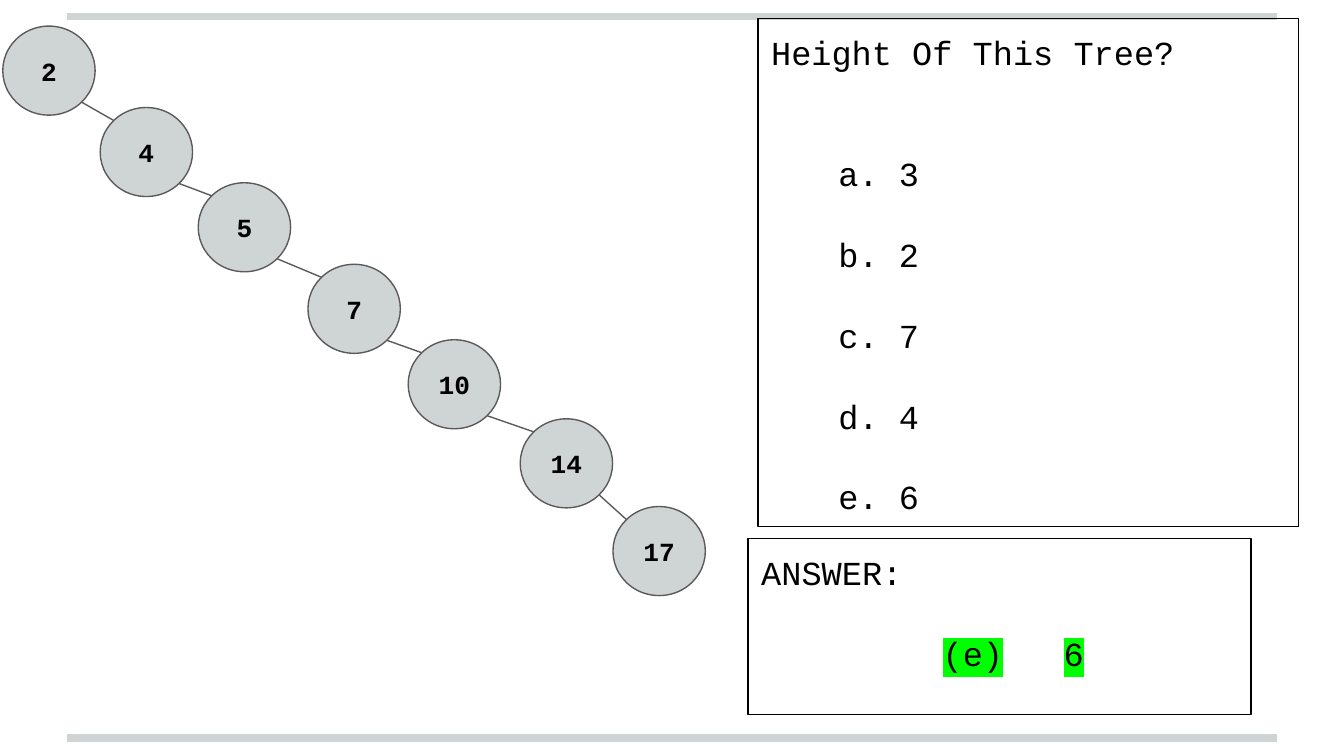
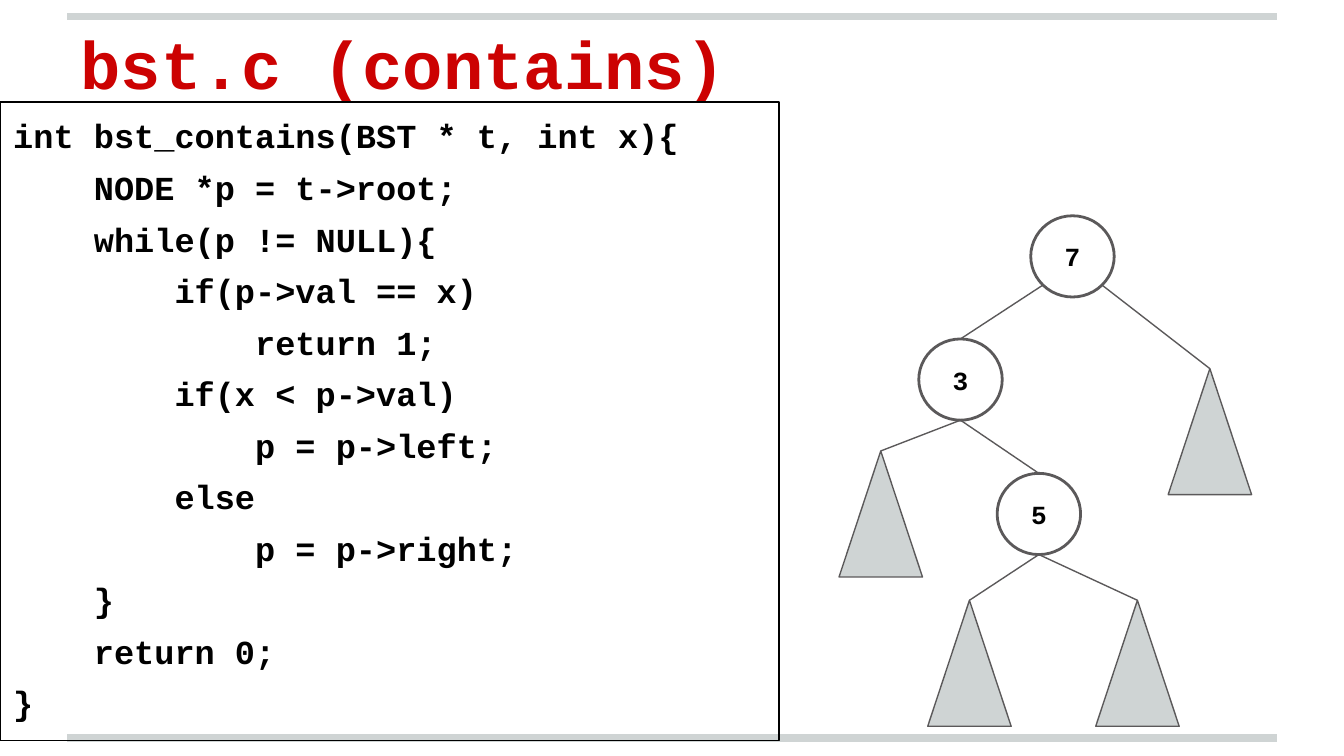
from lxml import etree
from pptx import Presentation
from pptx.dml.color import RGBColor
from pptx.enum.shapes import MSO_CONNECTOR, MSO_SHAPE
from pptx.enum.text import MSO_ANCHOR, PP_ALIGN
from pptx.oxml.ns import qn
from pptx.util import Pt

BLACK = RGBColor(0x00, 0x00, 0x00)
GRAY = RGBColor(0xCF, 0xD4, 0xD4)
EDGE = RGBColor(0x5B, 0x59, 0x5A)
RED = RGBColor(0xCC, 0x02, 0x02)
GREEN = RGBColor(0x00, 0xFF, 0x00)

RECT = MSO_SHAPE.RECTANGLE
OVAL = MSO_SHAPE.OVAL
CONE = MSO_SHAPE.ISOSCELES_TRIANGLE
LINE = MSO_CONNECTOR.STRAIGHT
LEFT, CENTER = PP_ALIGN.LEFT, PP_ALIGN.CENTER
TOP, MIDDLE = MSO_ANCHOR.TOP, MSO_ANCHOR.MIDDLE

FONT = "Courier New"
PLAIN = {"name": FONT, "size": Pt(18), "bold": False}
CODE = {"name": FONT, "size": Pt(18), "bold": True}
LABEL = {"name": FONT, "size": Pt(14), "bold": True}
TITLE = {"name": FONT, "size": Pt(36), "bold": True}
FRAME = {"word_wrap": True, "margin_left": Pt(7.2), "margin_right": Pt(7.2),
         "margin_top": Pt(7.2), "margin_bottom": Pt(7.2)}

NEAR, FAR = 0.5 - 0.5 ** 1.5, 0.5 + 0.5 ** 1.5
CROWN, BASE = (0.5, 0), (0.5, 1)
UPPER, LOWER, RIGHT = (NEAR, NEAR), (NEAR, FAR), (FAR, FAR)
GAP = 21.65
CHAR = 10.8

CHAIN = [("2", 1.5, 14), ("4", 53.7, 57.6), ("5", 106.2, 97.9),
         ("7", 165, 141.6), ("10", 218.7, 182), ("14", 278.7, 224.4),
         ("17", 328.4, 271.4)]
OPTIONS = ["a. 3", "b. 2", "c. 7", "d. 4", "e. 6"]
LINES = """int bst_contains(BST * t, int x){
    NODE *p = t->root;
    while(p != NULL){
        if(p->val == x)
            return 1;
        if(x < p->val)
            p = p->left;
        else
            p = p->right;
    }
    return 0;
}""".splitlines()


def apply(item, values):
    for key, value in values.items():
        setattr(item, key, value)


class Deck:
    def __init__(self):
        self.file = Presentation()
        apply(self.file, {"slide_width": Pt(720), "slide_height": Pt(405)})

    def slide(self):
        layout = self.file.slide_layouts[6]
        self.shapes = self.file.slides.add_slide(layout).shapes
        for y in (8.8, 395.4):
            self.line((Pt(36), Pt(y)), (Pt(684), Pt(y)), GRAY, 4)

    def line(self, start, end, color=EDGE, width=0.75):
        line = self.shapes.add_connector(LINE, *start, *end)
        line.line.color.rgb = color
        line.line.width = Pt(width)
        etree.SubElement(line._element.spPr, qn("a:effectLst"))
        return line

    def shape(self, kind, spot, fill=None, edge=EDGE, width=0.75):
        shape = self.shapes.add_shape(kind, *map(Pt, spot))
        shape.shadow.inherit = False
        if fill is None:
            shape.fill.background()
        else:
            shape.fill.solid()
            shape.fill.fore_color.rgb = fill
        shape.line.color.rgb = edge
        shape.line.width = Pt(width)
        return shape

    def text(self, shape, items, font, color=BLACK, align=LEFT, anchor=TOP):
        frame = shape.text_frame
        apply(frame, {**FRAME, "vertical_anchor": anchor})
        for i, (words, space) in enumerate(items):
            part = frame.add_paragraph() if i else frame.paragraphs[0]
            part.alignment = align
            if i:
                part.space_before = Pt(space)
            self.run(part, words, font, color)
        return frame.paragraphs

    def run(self, part, words, font, color=BLACK):
        run = part.add_run()
        run.text = words
        apply(run.font, font)
        run.font.color.rgb = color
        return run

    def mark(self, run, color):
        fill = run.font._element.find(qn("a:solidFill"))
        mark = etree.Element(qn("a:highlight"))
        etree.SubElement(mark, qn("a:srgbClr"), val=str(color))
        fill.addnext(mark)

    def tabs(self, part, stops):
        group = etree.SubElement(part._p.get_or_add_pPr(), qn("a:tabLst"))
        for stop in stops:
            etree.SubElement(group, qn("a:tab"), pos=str(Pt(stop)), algn="l")

    def indent(self, part, left):
        props = part._p.get_or_add_pPr()
        props.set("marL", str(Pt(left)))
        props.set("indent", "0")

    def box(self, spot, items, font):
        return self.text(self.shape(RECT, spot, edge=BLACK), items, font)

    def title(self, words):
        box = self.shapes.add_textbox(Pt(36), Pt(4.5), Pt(648), Pt(67.5))
        self.text(box, [(words, 0)], TITLE, RED)

    def node(self, words, spot, fill=None, width=0.75):
        node = self.shape(OVAL, spot, fill, width=width)
        self.text(node, [(words, 0)], LABEL, align=CENTER, anchor=MIDDLE)
        return node

    def link(self, above, start, below, end=CROWN):
        spots = [(int(s.left + s.width * x), int(s.top + s.height * y))
                 for s, (x, y) in ((above, start), (below, end))]
        line = self.line(*spots)
        if end == CROWN:
            line.end_connect(below, 0)


def quiz(deck):
    deck.slide()
    items = [("Height Of This Tree?", 0)]
    items += [(words, GAP if i else 2 * GAP)
              for i, words in enumerate(OPTIONS)]
    parts = deck.box((406, 10, 289.5, 272), items, PLAIN)
    for part in parts[1:]:
        deck.indent(part, 36)

    parts = deck.box((400.7, 288.6, 269.5, 94.4),
                     [("ANSWER:", 0), ("\t", GAP)], PLAIN)
    deck.tabs(parts[1], (9 * CHAR, 15 * CHAR))
    deck.mark(deck.run(parts[1], "(e)\t6", PLAIN), GREEN)

    nodes = [deck.node(words, (x, y, 49.5, 47.7), GRAY)
             for words, x, y in CHAIN]
    for above, below in zip(nodes, nodes[1:]):
        deck.link(above, RIGHT, below, UPPER)


def search(deck):
    deck.slide()
    deck.title("bst.c (contains)")
    deck.box((0, 54.6, 417.4, 342), [(words, 6) for words in LINES], CODE)
    seven, three, five = [
        deck.node(words, (x, y, 44.7, 43.5), width=1.5)
        for words, x, y in (("7", 552.2, 115.6), ("3", 492.2, 181.6),
                            ("5", 534.2, 253.6))]
    low, high, east, west = [
        deck.shape(CONE, (x, y, 44.7, 67.5), GRAY)
        for x, y in ((497, 321.6), (587, 321.6), (625.8, 197.5),
                     (449.5, 241.6))]
    for above, start, below in ((seven, LOWER, three), (seven, RIGHT, east),
                                (three, BASE, west), (three, BASE, five),
                                (five, BASE, low), (five, BASE, high)):
        deck.link(above, start, below)


def main():
    deck = Deck()
    quiz(deck)
    search(deck)
    deck.file.save("out.pptx")


if __name__ == "__main__":
    main()
